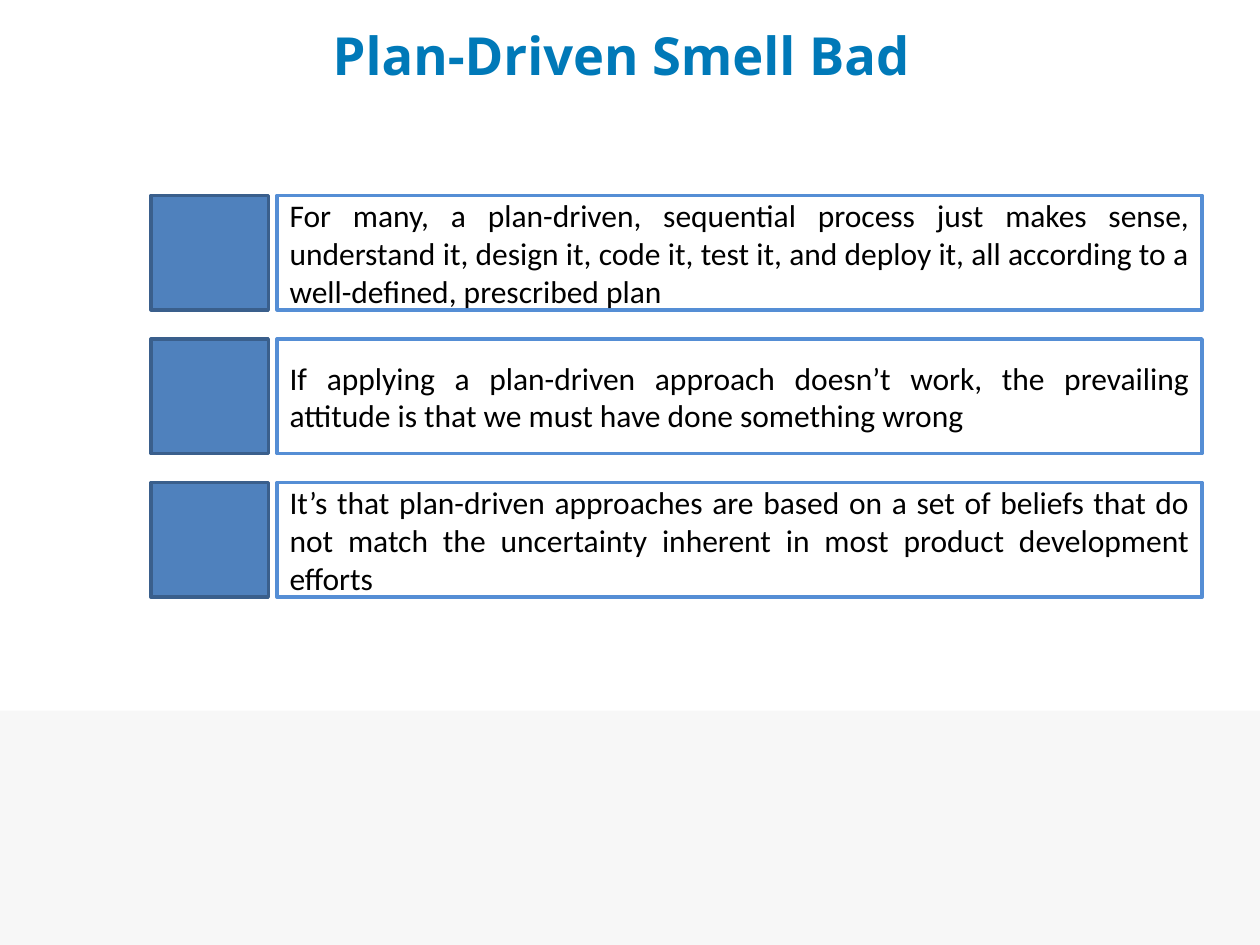
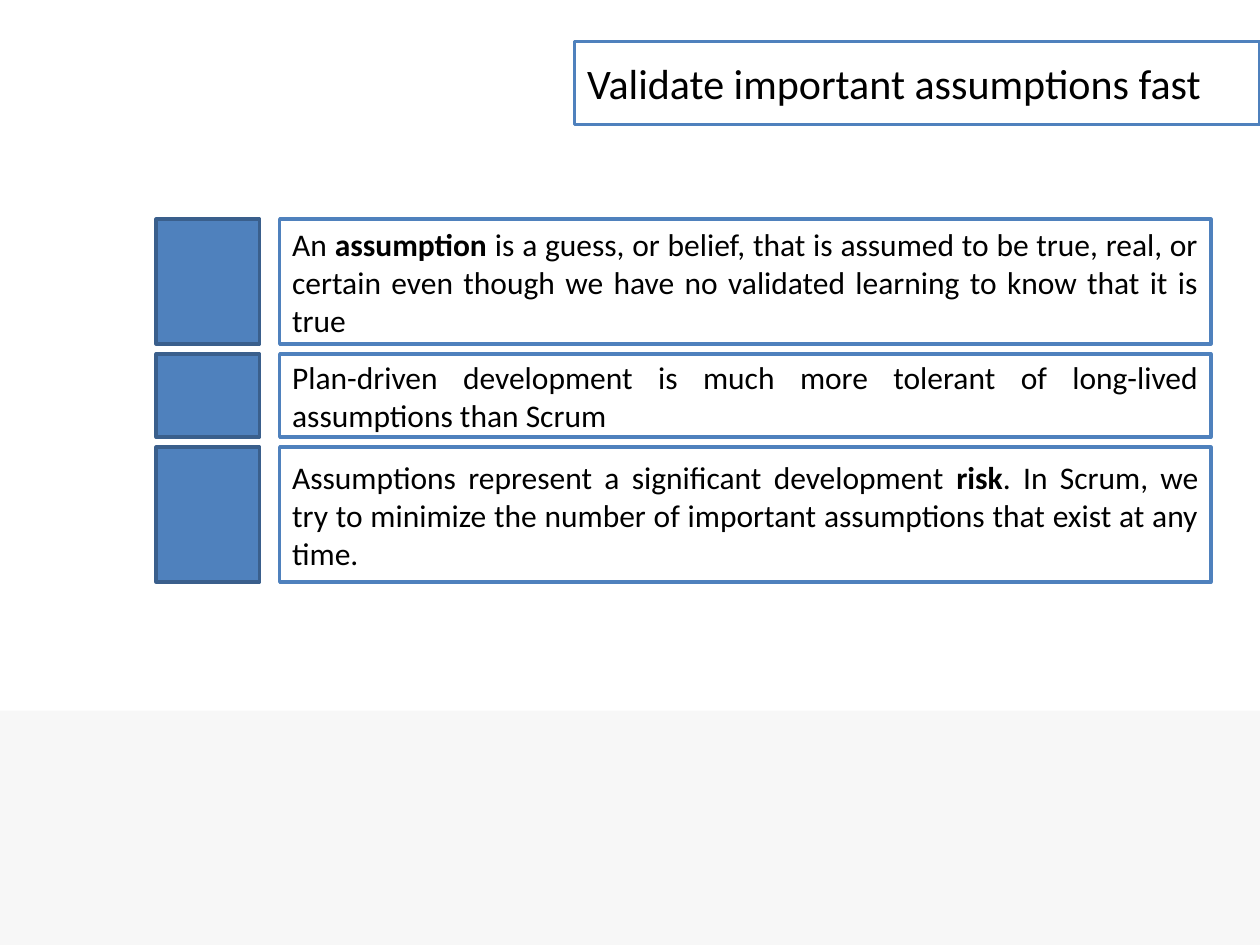
import pptx
import pptx.util
import pptx.dml.color
import pptx.enum.shapes
import pptx.enum.text

RGBColor = pptx.dml.color.RGBColor
Inches = pptx.util.Inches
Align = pptx.enum.text.PP_ALIGN
RECTANGLE = pptx.enum.shapes.MSO_SHAPE.RECTANGLE

TITLE_BLUE = RGBColor(0x00, 0x79, 0xB8)
BLUE = RGBColor(0x4F, 0x81, 0xBD)
LIGHT_BLUE = RGBColor(0x55, 0x8E, 0xD5)
DARK_BLUE = RGBColor(0x3A, 0x5F, 0x8C)
BAND_GRAY = RGBColor(0xF7, 0xF7, 0xF7)
WHITE = RGBColor(0xFF, 0xFF, 0xFF)
BLACK = RGBColor(0x00, 0x00, 0x00)

WIDTH, HEIGHT = 10, 7.5
BAND_TOP = 5.64


def style_box(box, area, fill=None, line=None):
    """Place a shape at (left, top, width, height) in inches and colour it."""
    box.left, box.top, box.width, box.height = map(Inches, area)
    if fill is not None:
        box.fill.solid()
        box.fill.fore_color.rgb = fill
    if line is None:
        box.line.fill.background()
    else:
        box.line.color.rgb = line
        box.line.width = pptx.util.Pt(2)


def write_text(box, text, size=18, font="Calibri", color=BLACK, bold=False, align=Align.LEFT):
    """Write one paragraph; parts between ** marks are bold."""
    frame = box.text_frame
    frame.word_wrap = True
    frame.auto_size = pptx.enum.text.MSO_AUTO_SIZE.NONE
    frame.vertical_anchor = pptx.enum.text.MSO_ANCHOR.MIDDLE
    para = frame.paragraphs[0]
    para.alignment = align
    for index, part in enumerate(text.split("**")):
        span = para.add_run()
        span.text = part
        span.font.name = font
        span.font.size = pptx.util.Pt(size)
        span.font.color.rgb = color
        span.font.bold = bold or index % 2 == 1


PAGES = [
    {
        "title": "Plan-Driven Smell Bad",
        "title_area": (2.54, 0, 7.48, 0.87),
        "title_box": {},
        "title_text": {"size": 30, "font": "Open Sans", "color": TITLE_BLUE, "bold": True},
        "marker_column": (1.2, 0.93),
        "text_column": (2.2, 7.34),
        "outline": LIGHT_BLUE,
        "top": 1.55,
        "gap": 0.23,
        "rows": [
            (0.91, "For many, a plan-driven, sequential process just makes sense, understand it, "
                   "design it, code it, test it, and deploy it, all according to a "
                   "well-defined, prescribed plan"),
            (0.91, "If applying a plan-driven approach doesn’t work, the prevailing attitude is "
                   "that we must have done something wrong"),
            (0.91, "It’s that plan-driven approaches are based on a set of beliefs that do not "
                   "match the uncertainty inherent in most product development efforts"),
        ],
    },
    {
        "title": "Validate important assumptions fast",
        "title_area": (4.56, 0.33, 5.44, 0.66),
        "title_box": {"fill": WHITE, "line": BLUE},
        "title_text": {"size": 24},
        "marker_column": (1.24, 0.82),
        "text_column": (2.22, 7.39),
        "outline": BLUE,
        "top": 1.74,
        "gap": 0.08,
        "rows": [
            (0.99, "An **assumption** is a guess, or belief, that is assumed to be true, real, or "
                   "certain even though we have no validated learning to know that it is true"),
            (0.66, "Plan-driven development is much more tolerant of long-lived assumptions "
                   "than Scrum"),
            (1.07, "Assumptions represent a significant development **risk**. In Scrum, we try to "
                   "minimize the number of important assumptions that exist at any time."),
        ],
    },
]

deck = pptx.Presentation()
deck.slide_width, deck.slide_height = Inches(WIDTH), Inches(HEIGHT)
layout = deck.slide_layouts.get_by_name("Title Only")

for number, content in enumerate(PAGES):
    page = deck.slides.add_slide(layout)

    # The gray band is made once and moved behind everything on the shared layout
    if number == 0:
        band = page.shapes.add_shape(RECTANGLE, 0, 0, 0, 0)
        band.shadow.inherit = False
        style_box(band, (0, BAND_TOP, WIDTH, HEIGHT - BAND_TOP), fill=BAND_GRAY)
        layout.shapes.element.insert(2, band.element)

    title = page.shapes.title
    style_box(title, content["title_area"], **content["title_box"])
    write_text(title, content["title"], **content["title_text"])

    marker_left, marker_width = content["marker_column"]
    text_left, text_width = content["text_column"]
    top = content["top"]
    for height, text in content["rows"]:
        statement = page.shapes.add_shape(RECTANGLE, 0, 0, 0, 0)
        statement.shadow.inherit = False
        style_box(statement, (text_left, top, text_width, height), WHITE, content["outline"])
        write_text(statement, text, align=Align.JUSTIFY)

        marker = page.shapes.add_shape(RECTANGLE, 0, 0, 0, 0)
        marker.shadow.inherit = False
        style_box(marker, (marker_left, top, marker_width, height), BLUE, DARK_BLUE)
        top += height + content["gap"]

deck.save("out.pptx")
